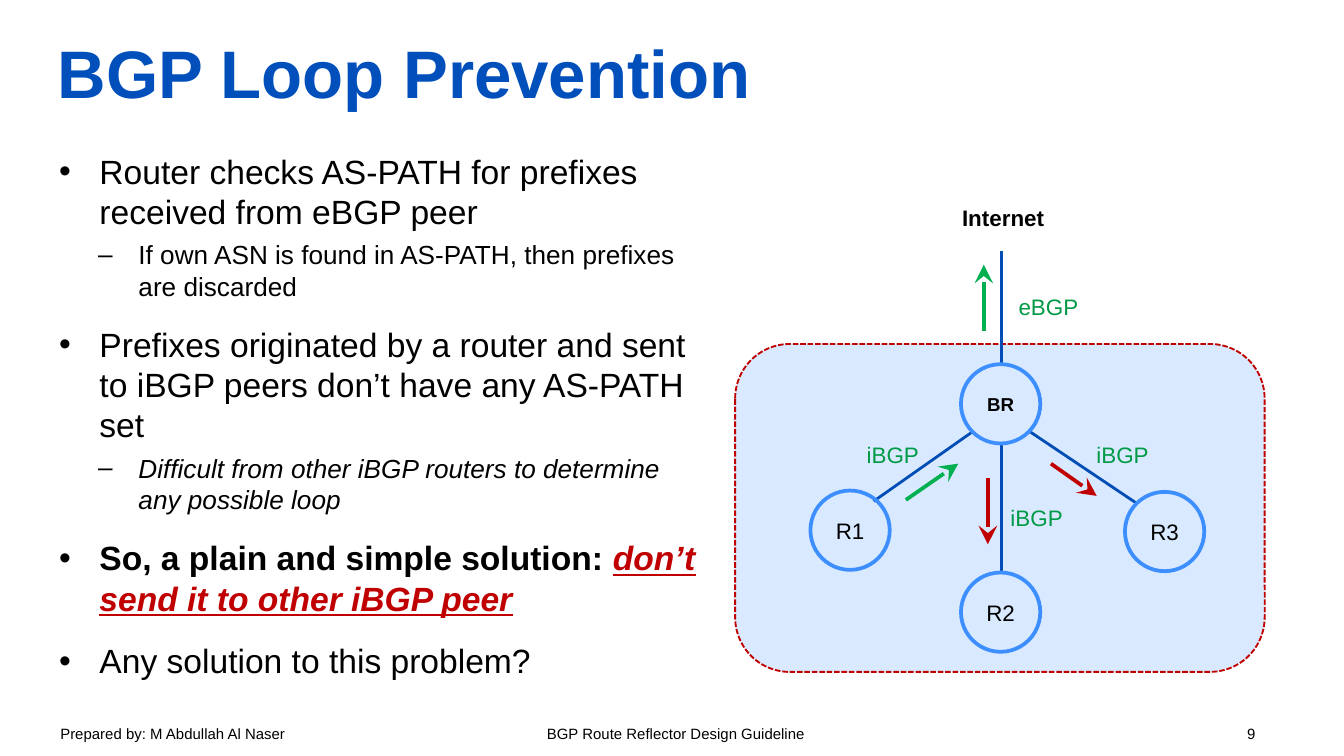
from dataclasses import dataclass
from lxml import etree
from pptx import Presentation
from pptx.dml.color import RGBColor
from pptx.enum.dml import MSO_LINE
from pptx.enum.shapes import MSO_CONNECTOR, MSO_SHAPE
from pptx.enum.text import MSO_ANCHOR, MSO_AUTO_SIZE, PP_ALIGN
from pptx.oxml.ns import qn
from pptx.util import Inches, Pt


@dataclass(frozen=True)
class Theme:
    font: str = "Arial"
    black: str = "000000"
    title: str = "004FBB"
    link: str = "004DB6"
    ring: str = "3D8FFF"
    area: str = "D9E9FF"
    red: str = "C00000"
    green: str = "00B050"
    session: str = "009A46"
    title_size: float = 36
    body_size: float = 18
    sub_size: float = 14
    label_size: float = 12
    border_size: float = 10
    footer_size: float = 8


THEME = Theme()


def style(run, size, color=THEME.black, bold=False, italic=False, underline=False):
    font = run.font
    font.name, font.size = THEME.font, Pt(size)
    font.color.rgb = RGBColor.from_string(color)
    font.bold, font.italic, font.underline = bold, italic, underline


def prepare_frame(shape, anchor=MSO_ANCHOR.TOP, wrap=True, inset=0.0):
    frame = shape.text_frame
    frame.auto_size = MSO_AUTO_SIZE.NONE
    frame.word_wrap = wrap
    frame.vertical_anchor = anchor
    frame.margin_left = frame.margin_right = Inches(inset)
    frame.margin_top = frame.margin_bottom = Inches(inset / 2)
    return frame


def add_title(slide, text, left, top, width, height):
    shape = slide.shapes.title
    shape.left, shape.top = Inches(left), Inches(top)
    shape.width, shape.height = Inches(width), Inches(height)
    frame = prepare_frame(shape, MSO_ANCHOR.MIDDLE)
    frame.text = text
    paragraph = frame.paragraphs[0]
    paragraph.alignment = PP_ALIGN.LEFT
    style(paragraph.runs[0], THEME.title_size, THEME.title, bold=True)


def set_bullet(paragraph, level):
    indent = Inches(0.3)
    properties = paragraph._p.get_or_add_pPr()
    properties.set("marL", str(Inches((0.3, 0.59)[level])))
    properties.set("indent", str(-indent))
    etree.SubElement(properties, qn("a:buFont")).set("typeface", THEME.font)
    etree.SubElement(properties, qn("a:buChar")).set("char", "•–"[level])


def add_points(slide, points, left, top, width, height):
    """Each point is a level and a list of (text, run style) pairs."""
    box = slide.shapes.add_textbox(*map(Inches, (left, top, width, height)))
    frame = prepare_frame(box)
    for index, (level, parts) in enumerate(points):
        paragraph = frame.add_paragraph() if index else frame.paragraphs[0]
        paragraph.level = level
        set_bullet(paragraph, level)
        if index:
            paragraph.space_before = Pt((12, 4)[level])
        for text, look in parts:
            run = paragraph.add_run()
            run.text = text
            style(run, (THEME.body_size, THEME.sub_size)[level], **look)


def add_line(slide, start, end, color, width, arrow=False):
    line = slide.shapes.add_connector(
        MSO_CONNECTOR.STRAIGHT, *map(Inches, (*start, *end)))
    line.line.color.rgb = RGBColor.from_string(color)
    line.line.width = Pt(width)
    if arrow:
        tail = etree.SubElement(line.line._get_or_add_ln(), qn("a:tailEnd"))
        for name, value in (("type", "stealth"), ("w", "lg"), ("len", "lg")):
            tail.set(name, value)
    etree.SubElement(line._element.spPr, qn("a:effectLst"))


def add_label(slide, text, left, top, width, color, bold=False):
    box = slide.shapes.add_textbox(*map(Inches, (left, top, width, 0.3)))
    frame = prepare_frame(box, wrap=False, inset=0.1)
    frame.text = text
    style(frame.paragraphs[0].runs[0], THEME.label_size, color, bold)


def add_router(slide, name, left, top, size=THEME.label_size, bold=False):
    diameter = 0.59
    shape = slide.shapes.add_shape(
        MSO_SHAPE.OVAL, *map(Inches, (left, top, diameter, diameter)))
    shape.shadow.inherit = False
    shape.fill.background()
    shape.line.color.rgb = RGBColor.from_string(THEME.ring)
    shape.line.width = Pt(2)
    frame = prepare_frame(shape, MSO_ANCHOR.MIDDLE, wrap=False)
    frame.text = name
    frame.paragraphs[0].alignment = PP_ALIGN.CENTER
    style(frame.paragraphs[0].runs[0], size, bold=bold)


def add_network(slide, left, top, width, height):
    def at(x, y):
        return left + x, top + y

    # Autonomous system, below the Internet label and uplink
    area_top = 1.09
    area = slide.shapes.add_shape(MSO_SHAPE.ROUNDED_RECTANGLE, *map(
        Inches, (*at(0, area_top), width, height - area_top)))
    area.shadow.inherit = False
    area.fill.solid()
    area.fill.fore_color.rgb = RGBColor.from_string(THEME.area)
    area.line.color.rgb = RGBColor.from_string(THEME.red)
    area.line.width = Pt(1)
    area.line.dash_style = MSO_LINE.SQUARE_DOT
    line_properties = area.line._get_or_add_ln()
    line_properties.find(qn("a:prstDash")).set("val", "sysDash")

    # Links between routers
    axis = 1.98
    links = [((axis, 0.4), (axis, 1.24)), ((axis, 1.83), (axis, 2.79)),
             ((1.03, 2.26), (1.77, 1.74)), ((2.98, 2.27), (2.19, 1.74))]
    for start, end in links:
        add_line(slide, at(*start), at(*end), THEME.link, 1.5)

    # Routers
    add_router(slide, "BR", *at(1.68, 1.24), THEME.border_size, bold=True)
    for name, x, y in [("R1", 0.56, 2.18), ("R2", 1.68, 2.79), ("R3", 2.9, 2.19)]:
        add_router(slide, name, *at(x, y))

    # Labels
    add_label(slide, "Internet", *at(1.59, 0), 0.82, THEME.black, bold=True)
    add_label(slide, "eBGP", *at(2.01, 0.66), 0.65, THEME.session)
    for x, y in [(0.88, 1.76), (1.95, 2.23), (2.59, 1.76)]:
        add_label(slide, "iBGP", *at(x, y), 0.59, THEME.session)

    # Prefix flows: green towards the Internet, red towards the other peers
    flows = [((1.85, 0.99), (1.85, 0.5), THEME.green),
             ((1.27, 2.25), (1.66, 1.98), THEME.green),
             ((1.88, 2.09), (1.88, 2.58), THEME.red),
             ((2.35, 1.98), (2.69, 2.22), THEME.red)]
    for start, end, color in flows:
        add_line(slide, at(*start), at(*end), color, 2, arrow=True)


def add_footer(slide, parts, stops, left, top, width, height):
    box = slide.shapes.add_textbox(*map(Inches, (left, top, width, height)))
    frame = prepare_frame(box, MSO_ANCHOR.MIDDLE, inset=0.1)
    paragraph = frame.paragraphs[0]
    tabs = etree.SubElement(paragraph._p.get_or_add_pPr(), qn("a:tabLst"))
    for stop in stops:
        tab = etree.SubElement(tabs, qn("a:tab"))
        tab.set("pos", str(Inches(stop)))
        tab.set("algn", "l")
    run = paragraph.add_run()
    run.text = "\t".join(parts)
    style(run, THEME.footer_size)


def main():
    presentation = Presentation()
    presentation.slide_width = Inches(10)
    presentation.slide_height = presentation.slide_width * 9 // 16
    slide = presentation.slides.add_slide(presentation.slide_layouts[5])

    add_title(slide, "BGP Loop Prevention", 0.43, 0.06, 9.13, 0.94)
    points = [
        (0, [("Router checks AS-PATH for prefixes received from eBGP peer", {})]),
        (1, [("If own ASN is found in AS-PATH, then prefixes are discarded", {})]),
        (0, [("Prefixes originated by a router and sent to iBGP peers "
              "don’t have any AS-PATH set", {})]),
        (1, [("Difficult from other iBGP routers to determine any possible loop",
              {"italic": True})]),
        (0, [("So, a plain and simple solution: ", {"bold": True}),
             ("don’t send it to other iBGP peer",
              {"color": THEME.red, "bold": True, "italic": True, "underline": True})]),
        (0, [("Any solution to this problem?", {})]),
    ]
    add_points(slide, points, 0.44, 1.12, 4.82, 4.13)
    add_network(slide, 5.47, 1.47, 3.94, 3.53)
    footer = ["Prepared by: M Abdullah Al Naser",
              "BGP Route Reflector Design Guideline", "9"]
    add_footer(slide, footer, [3.62, 8.83], 0.35, 5.33, 9.32, 0.25)
    presentation.save("out.pptx")


if __name__ == "__main__":
    main()
